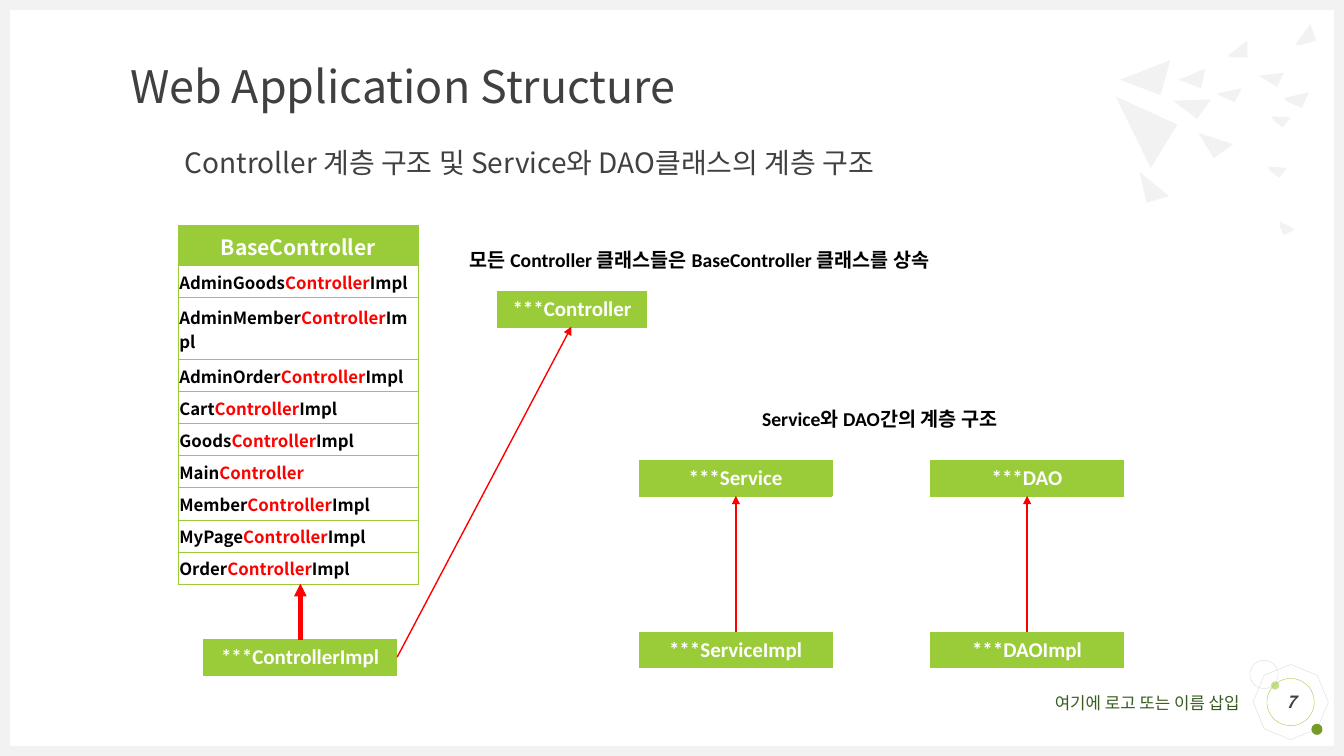
from lxml import etree
from pptx import Presentation
from pptx.dml.color import RGBColor
from pptx.enum.shapes import MSO_CONNECTOR, MSO_SHAPE
from pptx.enum.text import MSO_ANCHOR, MSO_AUTO_SIZE, PP_ALIGN
from pptx.oxml.ns import qn
from pptx.util import Pt

LEFT, CENTER, RIGHT = PP_ALIGN.LEFT, PP_ALIGN.CENTER, PP_ALIGN.RIGHT
TOP, MIDDLE = MSO_ANCHOR.TOP, MSO_ANCHOR.MIDDLE
RECTANGLE, OVAL, OCTAGON = MSO_SHAPE.RECTANGLE, MSO_SHAPE.OVAL, MSO_SHAPE.OCTAGON
NOTO, CALIBRI = "Noto Sans CJK KR", "Calibri"
COLORS = {
    "white": "FFFFFF", "black": "000000", "text": "404040", "red": "FF0000",
    "green": "9ACB39", "light green": "C2E088", "dark green": "749A29",
    "footer": "375C1E", "pale": "F2F2F2", "outline": "D9D9D9",
}
RGB = {name: RGBColor.from_string(value) for name, value in COLORS.items()}


def write_text(frame, runs, size, font, align=LEFT, bold=False, italic=False):
    """Fill the first paragraph of frame with (text, colour) runs."""
    paragraph = frame.paragraphs[0]
    paragraph.alignment = align
    for text, color in runs:
        run = paragraph.add_run()
        run.text = text
        run.font.size = Pt(size)
        run.font.bold = bold
        run.font.italic = italic
        run.font.color.rgb = RGB[color]
        run.font.name = font
        etree.SubElement(run.font._element, qn("a:ea"), typeface=NOTO)
    return paragraph


def add_class_table(left, top, width, row_heights):
    """Add a one-column table with green borders and a green first row."""
    table = slide.shapes.add_table(
        len(row_heights), 1, Pt(left), Pt(top), Pt(width), Pt(sum(row_heights))).table
    table.horz_banding = False
    for index, height in enumerate(row_heights):
        table.rows[index].height = Pt(height)
        cell = table.cell(index, 0)
        cell.vertical_anchor = MIDDLE
        properties = cell._tc.get_or_add_tcPr()
        for side in ("a:lnL", "a:lnR", "a:lnT", "a:lnB"):
            border = etree.SubElement(properties, qn(side), w=str(Pt(0.5)))
            fill = etree.SubElement(border, qn("a:solidFill"))
            etree.SubElement(fill, qn("a:srgbClr"), val=COLORS["green"])
        cell.fill.solid()
        cell.fill.fore_color.rgb = RGB["white" if index else "green"]
    return table


presentation = Presentation()
presentation.slide_width, presentation.slide_height = Pt(960), Pt(540)
slide = presentation.slides.add_slide(presentation.slide_layouts[5])

# Page frame and the badge around the page number
decorations = [
    (OCTAGON, 897.1, 476.6, 49.7, 49.7, 22.7, None, "outline"),
    (OVAL, 907.9, 486.7, 5.8, 5.8, 0, "light green", None),
    (OVAL, 936.7, 517, 7.9, 7.9, 0, "dark green", None),
    (OVAL, 892.8, 471.6, 20.2, 20.2, 0, None, "outline"),
    (RECTANGLE, 0, 533, 960, 7, 0, "pale", None),
    (RECTANGLE, 0, 0, 960, 7, 0, "pale", None),
    (RECTANGLE, 0, 0, 7, 540, 0, "pale", None),
    (RECTANGLE, 953, 0, 7, 540, 0, "pale", None),
    (OVAL, 905, 484.6, 33.8, 33.8, 0, None, "green"),
]
for kind, left, top, width, height, rotation, fill, line in decorations:
    ornament = slide.shapes.add_shape(kind, Pt(left), Pt(top), Pt(width), Pt(height))
    ornament.shadow.inherit = False
    ornament.rotation = rotation
    if fill:
        ornament.fill.solid()
        ornament.fill.fore_color.rgb = RGB[fill]
        ornament.line.fill.background()
    else:
        ornament.fill.background()
        ornament.line.color.rgb = RGB[line]
        ornament.line.width = Pt(0.25)

page_number = ornament.text_frame
page_number.margin_left = page_number.margin_right = 0
page_number.margin_top = page_number.margin_bottom = 0
page_number.vertical_anchor = MIDDLE
write_text(page_number, [("7", "text")], 12, NOTO, CENTER, bold=True, italic=True)

# Scattered shards in the top right corner
shards = [
    [(835.9, 43.2), (829.4, 67.7), (799.9, 56.9)],
    [(864.7, 70.6), (855.4, 85), (838.1, 72)],
    [(861.1, 49), (857.5, 62.6), (841.7, 56.9)],
    [(887, 62.6), (882, 73.4), (869, 67)],
    [(890.6, 28.8), (891.4, 41), (881.3, 41), (877, 39.6)],
    [(921.6, 83.5), (915.8, 90.7), (910.1, 85.7), (907.9, 82.8)],
    [(936, 17.3), (939.6, 28.8), (930.2, 31.7), (925.2, 31.7)],
    [(917.3, 51.8), (911.5, 61.9), (899.3, 54)],
    [(934.6, 66.2), (929.5, 77), (920.2, 72.7), (916.6, 69.8)],
    [(841, 89.3), (821.5, 119.5), (797, 69.1)],
    [(881.3, 103), (866.9, 113), (856.1, 95)],
    [(918.7, 119.5), (913.7, 126.7), (907.2, 121.7), (905.8, 118.8)],
    [(835.2, 139.7), (818.6, 144.7), (814.3, 123.1)],
    [(925.2, 164.2), (916.6, 167.8), (913.7, 160.6), (913.7, 157.7)],
]
for start, *corners in shards:
    outline = slide.shapes.build_freeform(*start, scale=Pt(1))
    outline.add_line_segments(corners, close=True)
    shard = outline.convert_to_shape()
    shard.shadow.inherit = False
    shard.fill.solid()
    shard.fill.fore_color.rgb = RGB["pale"]
    shard.line.fill.background()

# Headings, captions and footer
headings = [
    (slide.shapes.title, "Controller 계층 구조 및 Service와 DAO클래스의 계층 구조",
     131.8, 100.8, 740.2, 33.1, 20, NOTO, "text", MIDDLE, LEFT, False, 0.9),
    (None, "Web Application Structure",
     92.9, 46.1, 538.6, 34.6, 32, NOTO, "text", MIDDLE, LEFT, False, 0.9),
    (None, "모든 Controller 클래스들은 BaseController 클래스를 상속",
     335.5, 177.1, 366.5, 20.2, 14, CALIBRI, "black", TOP, LEFT, True, 1.0),
    (None, "Service와 DAO간의 계층 구조",
     544.3, 290.9, 267.8, 32.4, 14, CALIBRI, "black", TOP, LEFT, True, 1.0),
    (None, "여기에 로고 또는 이름 삽입",
     687.6, 494.6, 198, 14.4, 12, NOTO, "footer", TOP, RIGHT, False, 1.0),
]
for (holder, text, left, top, width, height, size, font, color,
     anchor, align, bold, spacing) in headings:
    box = (Pt(left), Pt(top), Pt(width), Pt(height))
    if holder is None:
        holder = slide.shapes.add_textbox(*box)
    else:
        holder.left, holder.top, holder.width, holder.height = box
    frame = holder.text_frame
    frame.word_wrap = True
    frame.auto_size = MSO_AUTO_SIZE.NONE
    frame.margin_left = frame.margin_right = frame.margin_top = frame.margin_bottom = 0
    frame.vertical_anchor = anchor
    write_text(frame, [(text, color)], size, font, align, bold).line_spacing = spacing

# Controllers that inherit from BaseController
controllers = [
    ("AdminGoods", "Impl"), ("AdminMember", "Impl"), ("AdminOrder", "Impl"),
    ("Cart", "Impl"), ("Goods", "Impl"), ("Main", ""),
    ("Member", "Impl"), ("MyPage", "Impl"), ("Order", "Impl"),
]
row_heights = [28.4] + [44.4 if name == "AdminMember" else 22.9 for name, _ in controllers]
base_table = add_class_table(127.4, 161.3, 171.4, row_heights)
for cell in base_table.iter_cells():
    cell.margin_left = cell.margin_right = cell.margin_top = Pt(0.7)
    cell.margin_bottom = 0
write_text(base_table.cell(0, 0).text_frame, [("BaseController", "white")],
           15, NOTO, CENTER, bold=True)
for row, (prefix, suffix) in enumerate(controllers, start=1):
    runs = [(prefix, "black"), ("Controller", "red")]
    if suffix:
        runs.append((suffix, "black"))
    write_text(base_table.cell(row, 0).text_frame, runs, 12, NOTO, bold=True)

# Interfaces and their implementations
class_boxes = [
    ("***ControllerImpl", 145.4, 456.8, 137.9),
    ("***Controller", 355.3, 208.1, 106.6),
    ("***ServiceImpl", 456.5, 451.4, 137.9),
    ("***DAOImpl", 664.6, 451.4, 137.9),
    ("***DAO", 664.6, 328.7, 137.9),
    ("***Service", 456.5, 328.7, 137.9),
]
for class_name, left, top, width in class_boxes:
    class_table = add_class_table(left, top, width, [25.5])
    write_text(class_table.cell(0, 0).text_frame, [(class_name, "white")],
               15, CALIBRI, CENTER, bold=True)

inheritance_arrows = [
    (283.7, 469.4, 408.2, 233.3, 1),
    (214.6, 457.2, 214.6, 416.9, 3),
    (525.6, 451.4, 525.6, 354.2, 1),
    (733.7, 451.4, 733.7, 354.2, 1),
]
for start_x, start_y, end_x, end_y, weight in inheritance_arrows:
    arrow = slide.shapes.add_connector(
        MSO_CONNECTOR.STRAIGHT, Pt(start_x), Pt(start_y), Pt(end_x), Pt(end_y))
    arrow.line.color.rgb = RGB["red"]
    arrow.line.width = Pt(weight)
    etree.SubElement(arrow.line._get_or_add_ln(), qn("a:tailEnd"), type="triangle")
    etree.SubElement(arrow._element.spPr, qn("a:effectLst"))

presentation.save("out.pptx")
